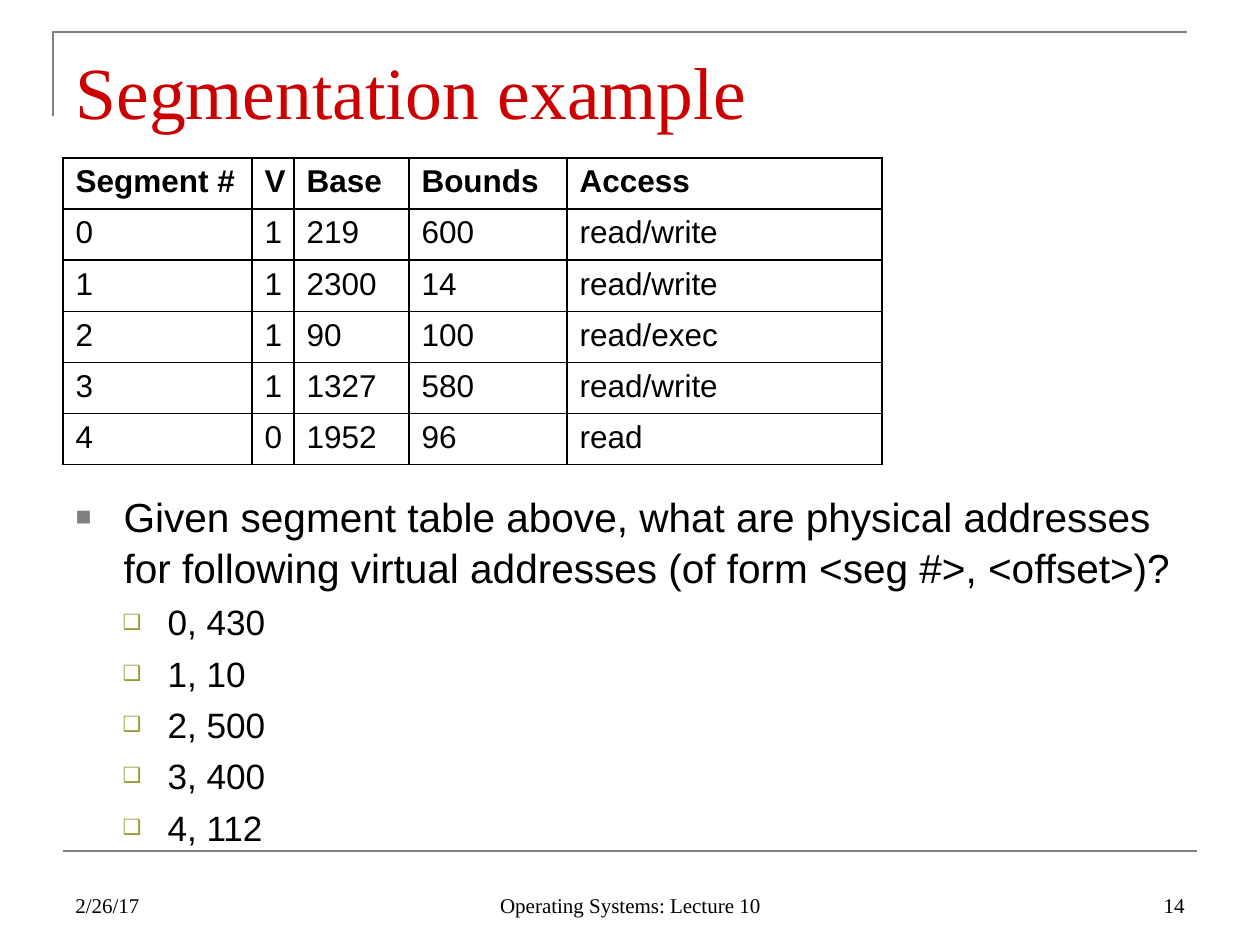
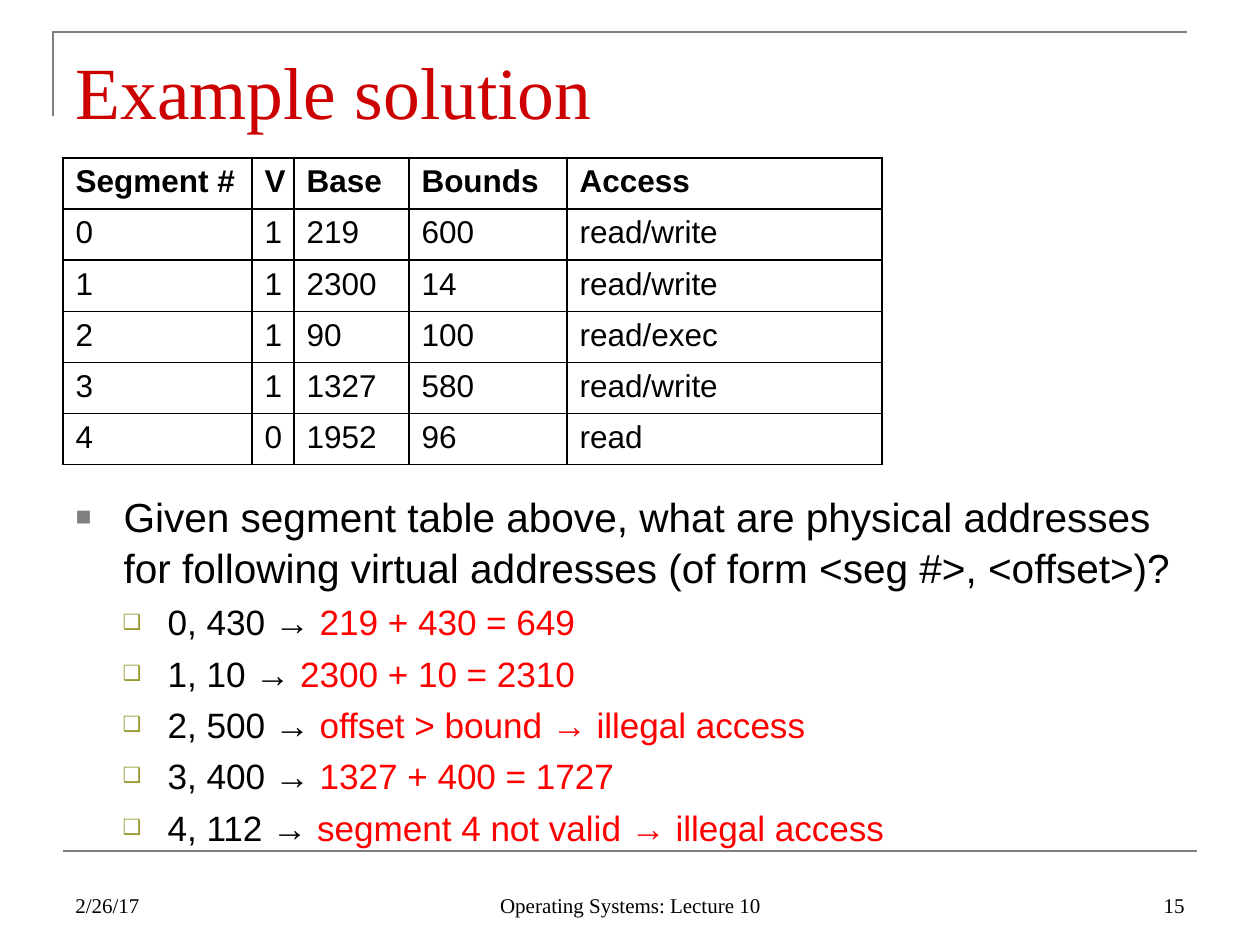
from lxml import etree
from pptx import Presentation
from pptx.dml.color import RGBColor
from pptx.enum.text import MSO_ANCHOR, MSO_AUTO_SIZE, PP_ALIGN
from pptx.enum.shapes import MSO_CONNECTOR
from pptx.oxml.ns import qn
from pptx.util import Pt

SCALE = 914400 / 126
BLACK = RGBColor(0, 0, 0)
GRAY = RGBColor(0x80, 0x80, 0x80)
CRIMSON = RGBColor(0xCC, 0, 0)
RED = RGBColor(0xFF, 0, 0)
OLIVE = RGBColor(0x99, 0x99, 0x33)
SANS = "Arial"
SERIF = "Times New Roman"
LEFT, CENTER, RIGHT = PP_ALIGN.LEFT, PP_ALIGN.CENTER, PP_ALIGN.RIGHT
TOP, BOTTOM = MSO_ANCHOR.TOP, MSO_ANCHOR.BOTTOM
NO_FIT = MSO_AUTO_SIZE.NONE
STRAIGHT = MSO_CONNECTOR.STRAIGHT

WIDE, HIGH = 1260, 945
EDGE, SPAN = 63, 1134
COLS = [189, 42, 115, 158, 315, 315]
ROW = 51
ROWS = [
    ["Segment #", "V", "Base", "Bounds", "Access"],
    ["0", "1", "219", "600", "read/write"],
    ["1", "1", "2300", "14", "read/write"],
    ["2", "1", "90", "100", "read/exec"],
    ["3", "1", "1327", "580", "read/write"],
    ["4", "0", "1952", "96", "read"],
]
TASK = ("Given segment table above, what are physical addresses for following "
        "virtual addresses (of form <seg #>, <offset>)?")
PAIRS = {
    "0, 430": "219 + 430 = 649",
    "1, 10": "2300 + 10 = 2310",
    "2, 500": "offset > bound → illegal access",
    "3, 400": "1327 + 400 = 1727",
    "4, 112": "segment 4 not valid → illegal access",
}


def px(num):
    return round(num * SCALE)


def write(para, text, size=18, face=SANS, color=BLACK, bold=False):
    run = para.add_run()
    run.text = text
    run.font.size = Pt(size)
    run.font.name = face
    run.font.color.rgb = color
    run.font.bold = bold


def place(shape, left, top, width, height, anchor):
    shape.left, shape.top = px(left), px(top)
    shape.width, shape.height = px(width), px(height)
    frame = shape.text_frame
    frame.word_wrap = True
    frame.auto_size = NO_FIT
    frame.vertical_anchor = anchor
    return frame


def add_frame(slide):
    path = slide.shapes.build_freeform(53, 116, scale=SCALE)
    path.add_line_segments([(53, 32), (1187, 32)], close=False)
    corner = path.convert_to_shape()
    corner.shadow.inherit = False
    corner.fill.background()
    rule = slide.shapes.add_connector(
        STRAIGHT, px(EDGE), px(851), px(EDGE + SPAN), px(851))
    etree.SubElement(rule._element.spPr, qn("a:effectLst"))
    for shape in (corner, rule):
        shape.line.color.rgb = GRAY
        shape.line.width = Pt(1.5)


def add_title(slide, text):
    frame = place(slide.shapes.title, EDGE, 38, SPAN, 98, BOTTOM)
    frame.margin_bottom = px(2)
    para = frame.paragraphs[0]
    para.alignment = LEFT
    write(para, text, size=42, face=SERIF, color=CRIMSON)


def set_edge(cell, side, shown):
    line = etree.SubElement(cell._tc.get_or_add_tcPr(), qn("a:ln" + side))
    line.set("w", str(Pt(1)))
    if shown:
        fill = etree.SubElement(line, qn("a:solidFill"))
        etree.SubElement(fill, qn("a:srgbClr")).set("val", str(BLACK))
    else:
        etree.SubElement(line, qn("a:noFill"))


def add_grid(slide):
    shape = slide.shapes.add_table(
        len(ROWS), len(COLS), px(EDGE), px(158), px(SPAN), px(ROW * len(ROWS)))
    table = shape.table
    table.first_row = table.horz_banding = False
    for col, width in zip(table.columns, COLS):
        col.width = px(width)
    for i, texts in enumerate(ROWS):
        table.rows[i].height = px(ROW)
        for j in range(len(COLS)):
            cell = table.cell(i, j)
            used = j < len(texts)
            for side in "LRTB":
                set_edge(cell, side, used or side == "L")
            cell.fill.background()
            if used:
                write(cell.text_frame.paragraphs[0], texts[j], bold=i == 0)


def set_bullet(para, mark, color, size, left, hang):
    props = para._p.get_or_add_pPr()
    props.set("marL", str(px(left)))
    props.set("indent", str(-px(hang)))
    tint = etree.SubElement(props, qn("a:buClr"))
    etree.SubElement(tint, qn("a:srgbClr")).set("val", str(color))
    etree.SubElement(props, qn("a:buSzPct")).set("val", str(size * 1000))
    etree.SubElement(props, qn("a:buChar")).set("char", mark)


def add_list(slide, solved):
    frame = place(slide.placeholders[1], EDGE, 483, SPAN, 362, TOP)
    para = frame.paragraphs[0]
    para.space_before = Pt(0)
    para.line_spacing = 1.05
    set_bullet(para, "■", GRAY, 65, 48, 48)
    write(para, TASK, size=23.2)
    for query, answer in PAIRS.items():
        para = frame.add_paragraph()
        para.level = 1
        para.space_before = Pt(4)
        para.line_spacing = 1.05
        set_bullet(para, "❑", OLIVE, 60, 92, 45)
        write(para, query + " → " if solved else query, size=20.1)
        if solved:
            write(para, answer, size=20.1, color=RED)


def add_foot(slide, number):
    parts = [
        ("2/26/17", EDGE, 294, LEFT),
        ("Operating Systems: Lecture 10", 431, 399, CENTER),
        (str(number), 903, 294, RIGHT),
    ]
    for text, left, width, align in parts:
        box = slide.shapes.add_textbox(0, 0, 0, 0)
        para = place(box, left, 861, width, 63, BOTTOM).paragraphs[0]
        para.alignment = align
        write(para, text, size=12, face=SERIF)


def add_page(deck, title, number, solved):
    slide = deck.slides.add_slide(deck.slide_layouts[1])
    add_frame(slide)
    add_title(slide, title)
    add_grid(slide)
    add_list(slide, solved)
    add_foot(slide, number)


def main():
    deck = Presentation()
    deck.slide_width, deck.slide_height = px(WIDE), px(HIGH)
    add_page(deck, "Segmentation example", 14, solved=False)
    add_page(deck, "Example solution", 15, solved=True)
    deck.save("out.pptx")


if __name__ == "__main__":
    main()
